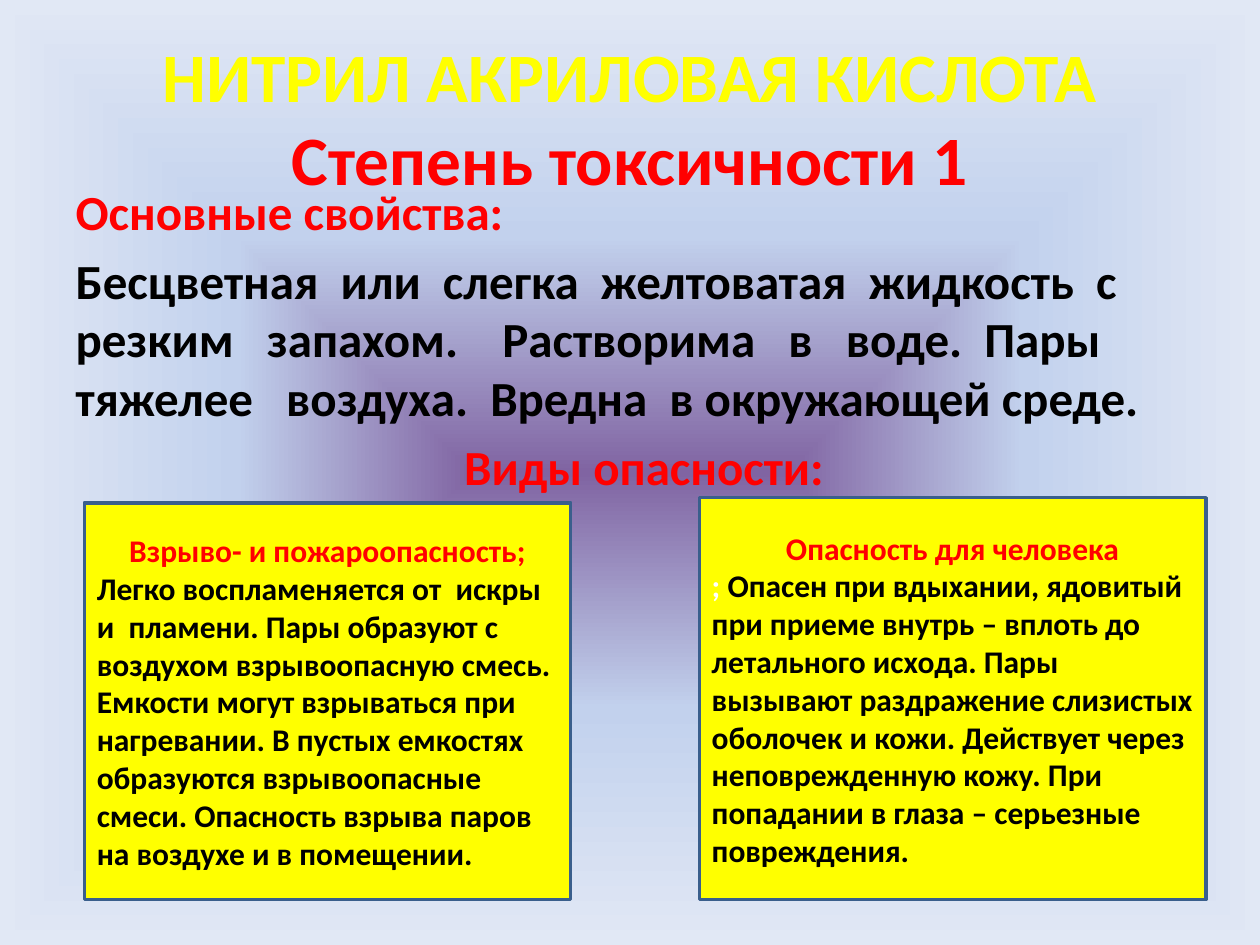
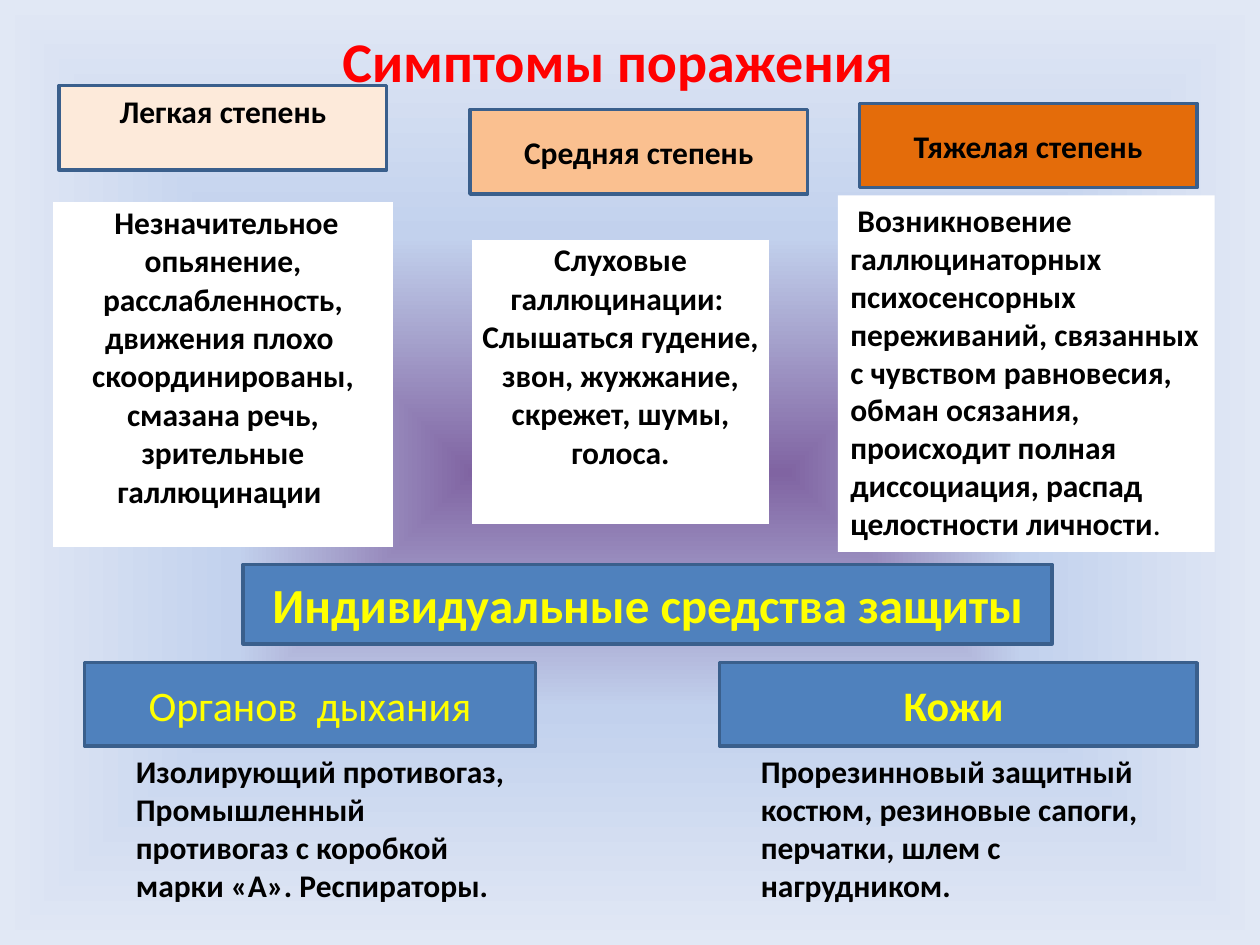
from lxml import etree
from pptx import Presentation, util as u
from pptx.dml.color import RGBColor
from pptx.enum import shapes, text
from pptx.oxml import parse_xml
from pptx.oxml.ns import nsdecls, qn

RED, YELLOW, BLACK, WHITE = "FF0000", "FFFF00", "000000", "FFFFFF"
BLUE, EDGE = "4F81BD", "3A5F8C"
STOPS = (0, "8064A2"), (50, "C2D1ED"), (100, "E1E8F5")
MID, LEFT = text.PP_ALIGN.CENTER, text.PP_ALIGN.LEFT
TOP, CORE = text.MSO_ANCHOR.TOP, text.MSO_ANCHOR.MIDDLE
FIXED, GROW = text.MSO_AUTO_SIZE.NONE, text.MSO_AUTO_SIZE.SHAPE_TO_FIT_TEXT


def tint(code):
    return RGBColor.from_string(code)


def apply(target, **values):
    for name, value in values.items():
        setattr(target, name, value)


class Deck:
    """Holds the shared style and the current slide."""

    def __init__(self):
        self.show = Presentation()
        apply(self.show, slide_width=u.Inches(10), slide_height=u.Inches(7.5))
        self.backdrop()

    def backdrop(self):
        master = self.show.slide_master
        master.background.fill.solid()
        flat = master.element.find(".//" + qn("p:bgPr")).find(qn("a:solidFill"))
        stops = "".join(f'<a:gs pos="{pos * 1000}"><a:srgbClr val="{code}"/></a:gs>'
                        for pos, code in STOPS)
        glow = parse_xml(
            f'<a:gradFill {nsdecls("a")} rotWithShape="1"><a:gsLst>{stops}</a:gsLst>'
            '<a:path path="shape"><a:fillToRect l="50000" t="50000" r="50000" b="50000"/>'
            '</a:path></a:gradFill>')
        flat.getparent().replace(flat, glow)

    def page(self, layout):
        self.slide = self.show.slides.add_slide(self.show.slide_layouts[layout])

    def place(self, shape, at):
        apply(shape, **dict(zip(("left", "top", "width", "height"), map(u.Inches, at))))

    def words(self, frame, paras, size, plain=False):
        for i, (align, *runs) in enumerate(paras):
            para = frame.paragraphs[0] if i == 0 else frame.add_paragraph()
            para.alignment = align
            if plain:
                props = para._p.get_or_add_pPr()
                props.set("marL", "0")
                props.set("indent", "0")
                etree.SubElement(props, qn("a:buNone"))
            if i == 0:
                para.space_before = u.Pt(0)
            for label, code, *thin in runs:
                run = para.add_run()
                run.text = label
                apply(run.font, name="Calibri", size=u.Pt(size), bold=not thin)
                run.font.color.rgb = tint(code)

    def fill(self, shape, paras, size, anchor, fit=FIXED, plain=False):
        frame = shape.text_frame
        apply(frame, word_wrap=True, auto_size=fit, vertical_anchor=anchor)
        self.words(frame, paras, size, plain)

    def title(self, at, size, *runs):
        self.place(self.slide.shapes.title, at)
        self.fill(self.slide.shapes.title, [(MID, *runs)], size, CORE)

    def body(self, at, size, paras):
        holder = self.slide.placeholders[1]
        self.place(holder, at)
        self.fill(holder, paras, size, TOP, plain=True)

    def panel(self, at, code, paras, size=18, anchor=CORE, edge=EDGE, fit=FIXED):
        shape = self.slide.shapes.add_shape(
            shapes.MSO_SHAPE.RECTANGLE, *map(u.Inches, at))
        shape.shadow.inherit = False
        shape.fill.solid()
        shape.fill.fore_color.rgb = tint(code)
        if edge:
            shape.line.color.rgb = tint(edge)
            shape.line.width = u.Pt(2)
        else:
            shape.line.fill.background()
        self.fill(shape, paras, size, anchor, fit)

    def note(self, at, label):
        box = self.slide.shapes.add_textbox(*map(u.Inches, at))
        self.fill(box, [(LEFT, (label, BLACK))], 18, TOP, GROW)

    def table(self, at, paras):
        grid = self.slide.shapes.add_table(1, 1, *map(u.Inches, at)).table
        apply(grid, first_row=False, horz_banding=False)
        cell = grid.cell(0, 0)
        side = u.Inches(0.07)
        apply(cell, margin_left=side, margin_right=side, margin_top=0, margin_bottom=0)
        props = cell._tc.get_or_add_tcPr()
        for edge, width in zip("LRTB", (1, 1, 3, 3)):
            props.append(parse_xml(
                f'<a:ln{edge} {nsdecls("a")} w="{int(u.Pt(width))}"><a:solidFill>'
                f'<a:srgbClr val="{WHITE}"/></a:solidFill></a:ln{edge}>'))
        cell.fill.solid()
        cell.fill.fore_color.rgb = tint(WHITE)
        self.words(cell.text_frame, paras, 18)


def hazards(deck):
    deck.page(1)
    deck.title((0.5, 0.3, 9, 1.25), 39.6,
               ("НИТРИЛ АКРИЛОВАЯ КИСЛОТА ", YELLOW), ("Степень токсичности 1", RED))
    deck.body((0.5, 1.39, 9.22, 5.91), 28, [
        (LEFT, ("Основные свойства:", RED)),
        (LEFT, ("Бесцветная  или  слегка  желтоватая  жидкость  с резким   запахом.    "
                "Растворима   в   воде.  Пары тяжелее   воздуха.  Вредна  в "
                "окружающей среде.", BLACK)),
        (MID, ("Виды опасности:", RED))])
    deck.panel((0.67, 3.99, 3.86, 3.15), YELLOW, [
        (MID, ("Взрыво- и пожароопасность;", RED)),
        (LEFT, ("Легко воспламеняется от  искры и  пламени. Пары образуют с воздухом "
                "взрывоопасную смесь. Емкости могут взрываться при нагревании. "
                "В пустых емкостях образуются взрывоопасные смеси. Опасность взрыва "
                "паров на воздухе и в помещении.", BLACK))])
    deck.panel((5.55, 3.95, 4.02, 3.19), YELLOW, [
        (MID, ("Опасность для человека", RED)),
        (LEFT, ("; ", WHITE),
         ("Опасен при вдыхании, ядовитый при приеме внутрь – вплоть до летального "
          "исхода. Пары вызывают раздражение слизистых оболочек и кожи. Действует "
          "через неповрежденную кожу. При попадании в глаза – серьезные "
          "повреждения.", BLACK))])


def symptoms(deck):
    deck.page(5)
    deck.title((0, 0.13, 9.81, 0.7), 32, ("Симптомы поражения", RED))
    for at, code, label, anchor in (
            ((0.47, 0.68, 2.6, 0.67), "FDEADA", "Легкая степень", TOP),
            ((3.73, 0.87, 2.68, 0.67), "FAC090", "Средняя степень", CORE),
            ((6.82, 0.82, 2.68, 0.67), "E46C0A", "Тяжелая степень", CORE)):
        deck.panel(at, code, [(MID, (label, BLACK))], anchor=anchor)
    deck.table((0.43, 1.62, 2.68, 2.7), [
        (MID, (" Незначительное опьянение, расслабленность, движения плохо  "
               "скоординированы, смазана речь, зрительные галлюцинации ", BLACK))])
    deck.table((3.75, 1.92, 2.35, 2.22), [
        (MID, ("Слуховые галлюцинации: ", BLACK)),
        (MID, ("Слышаться гудение, звон, жужжание, скрежет, шумы, голоса.", BLACK))])
    deck.panel((6.65, 1.55, 2.99, 2.83), WHITE, [
        (LEFT, (" Возникновение галлюцинаторных  психосенсорных переживаний, "
                "связанных с чувством равновесия, обман осязания, происходит полная "
                "диссоциация, распад целостности личности", BLACK),
         (".", BLACK, "thin"))], anchor=TOP, edge=None, fit=GROW)
    for at, size, run in (
            ((1.93, 4.48, 6.42, 0.63), 28, ("Индивидуальные средства защиты", YELLOW)),
            ((0.67, 5.26, 3.58, 0.66), 24, ("Органов  дыхания", YELLOW, "thin")),
            ((5.71, 5.26, 3.79, 0.66), 24, ("Кожи ", YELLOW))):
        deck.panel(at, BLUE, [(MID, run)], size)
    deck.note((0.98, 5.92, 3.15, 1.31),
              "Изолирующий противогаз, Промышленный противогаз с коробкой марки «А». "
              "Респираторы.")
    deck.note((5.94, 5.92, 3.54, 1.31),
              "Прорезинновый защитный костюм, резиновые сапоги, перчатки, шлем с "
              "нагрудником.")


def main():
    deck = Deck()
    hazards(deck)
    symptoms(deck)
    deck.show.save("out.pptx")


if __name__ == "__main__":
    main()
